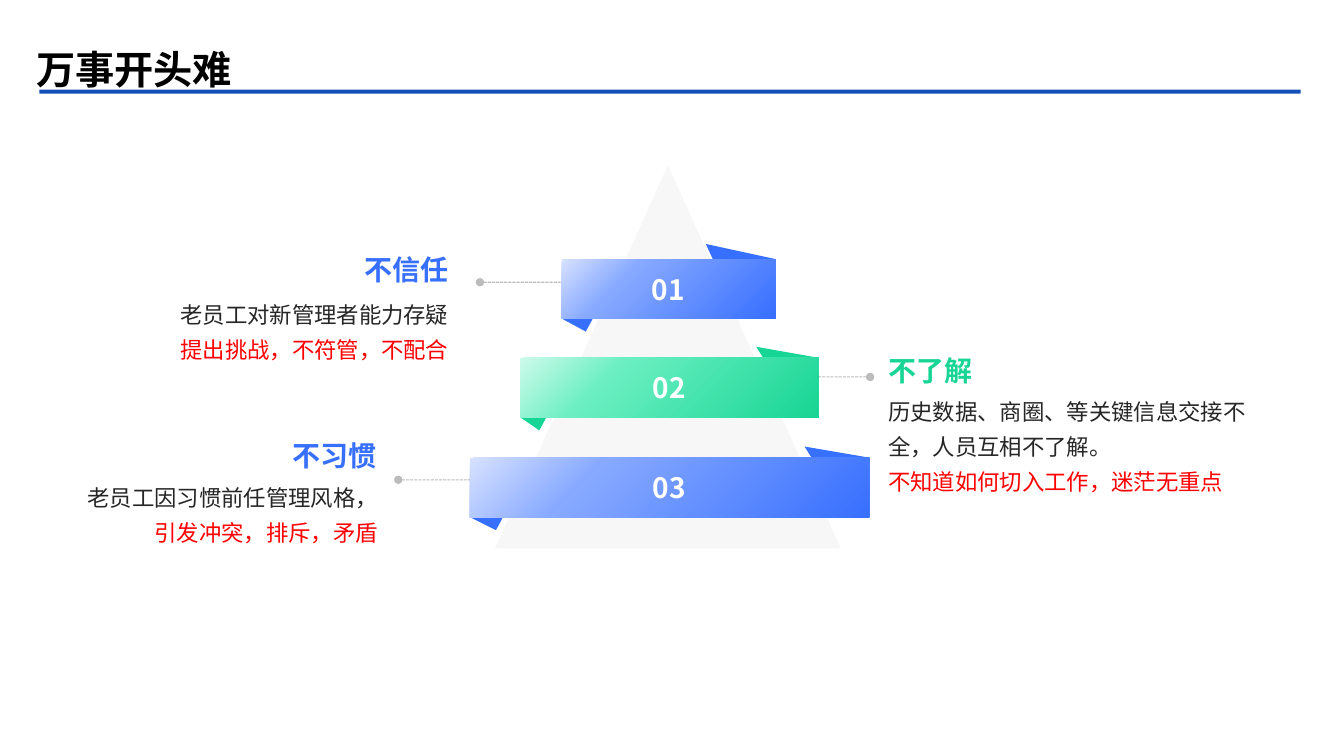
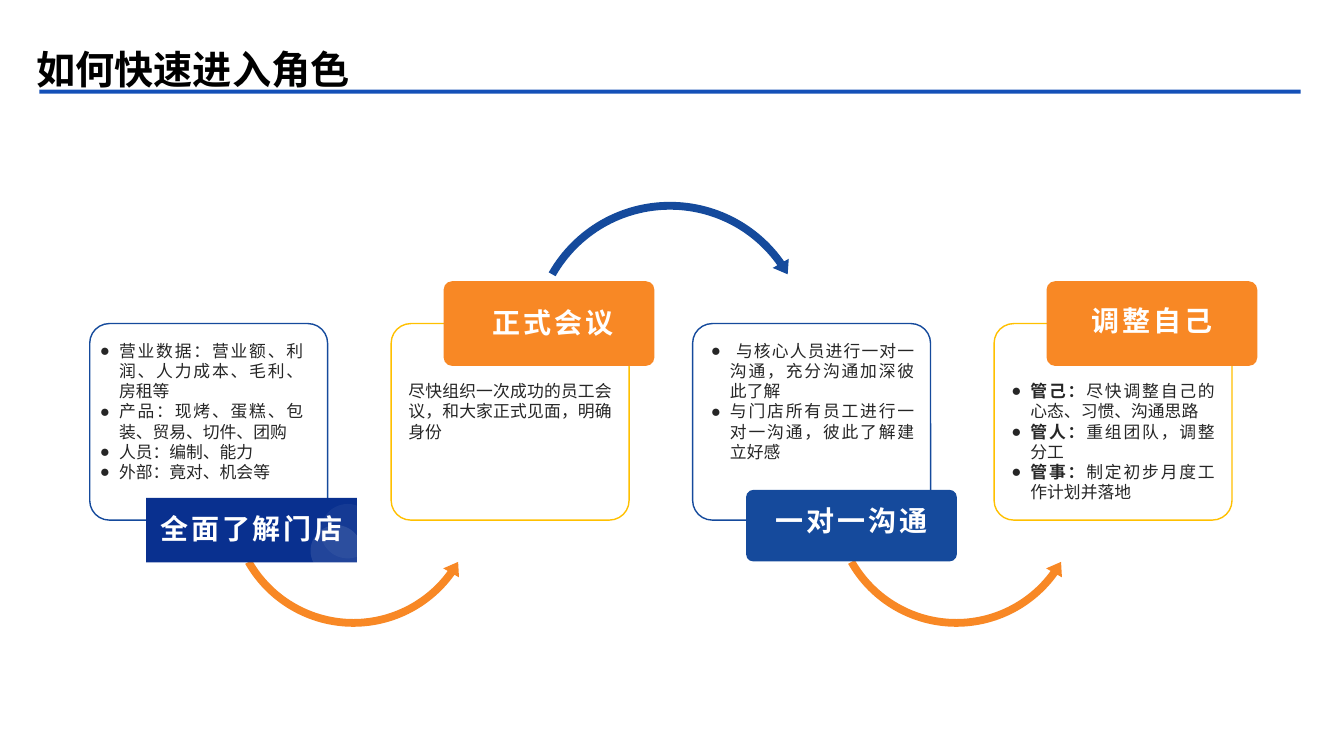
"""Build two slides on how a new store manager starts out."""
from pptx import Presentation
from pptx.dml.color import RGBColor
from pptx.enum.dml import MSO_LINE
from pptx.enum.shapes import MSO_CONNECTOR, MSO_SHAPE
from pptx.enum.text import MSO_ANCHOR, MSO_AUTO_SIZE, PP_ALIGN
from pptx.oxml import parse_xml
from pptx.oxml.ns import nsdecls
from pptx.util import Inches, Pt

HUES = {
    "black": "000000", "white": "FFFFFF", "ink": "262626", "red": "FF0000",
    "band": "1450B8", "blue": "376FFF", "green": "17D594", "gray": "D9D9D9",
    "dash": "595959", "navy": "154A9C", "deep": "09308F",
    "orange": "F88825", "gold": "FFC000",
}
FADES = {
    "blue": ("D7E2FF", "87A9FF", "376FFF"),
    "green": ("CEFAEB", "6BEFC2", "17D594"),
}
FACE = "Noto Sans CJK SC"

HEAD = {"size": Pt(28), "bold": True, "hue": "black"}
NAME = {"size": Pt(20), "bold": True, "hue": "white"}
NOTE = {"size": Pt(16), "bold": False, "hue": "ink"}
ITEM = {"size": Pt(12), "bold": False, "hue": "ink"}
RED = {"hue": "red"}
BOLD = {"bold": True}

TITLES = [("万事开头难", "Noto Sans CJK JP"), ("如何快速进入角色", FACE)]

RIBBONS = [
    {"num": "01", "hue": "blue", "at": (5.57, 2.57, 2.12),
     "back": (0.69, 0.15), "front": 0.31, "dot": (4.76, 5.56, 2.8),
     "name": "不信任", "head": (1.54, 2.2, 2.91), "body": (1.41, 2.91, 3.04),
     "text": [[("老员工对新管理者能力存疑", {})],
              [("提出挑战，不符管，不配合", RED)]]},
    {"num": "02", "hue": "green", "at": (5.16, 3.55, 2.96),
     "back": (0.62, 0.11), "front": 0.26, "dot": (8.63, 8.12, 3.74),
     "name": "不了解", "head": (8.81, 3.2, 2.95), "body": (8.81, 3.87, 3.62),
     "text": [[("历史数据、商圈、等关键信息交接不全，人员互相不了解。", {})],
              [("不知道如何切入工作，迷茫无重点", RED)]]},
    {"num": "03", "hue": "blue", "at": (4.66, 4.54, 3.96),
     "back": (0.64, 0.11), "front": 0.33, "dot": (3.95, 4.66, 4.76),
     "name": "不习惯", "head": (0.83, 4.04, 2.91), "body": (0.71, 4.72, 3.04),
     "text": [[("老员工因习惯前任管理风格，", {}),
               ("引发冲突，排斥，矛盾", RED)]]},
]

CARDS = [
    {"name": "全面了解门店", "edge": "navy", "fill": "deep", "tab": (0.56, 4.94, 0.64),
     "kind": MSO_SHAPE.RECTANGLE, "nudge": (0, 0), "text_at": (0, 3.33), "dots": True,
     "text": [[("营业数据：营业额、利润、人力成本、毛利、房租等", {})],
              [("产品：现烤、蛋糕、包装、贸易、切件、团购", {})],
              [("人员：编制、能力", {})],
              [("外部：竟对、机会等", {})]]},
    {"name": "正式会议", "edge": "gold", "fill": "orange", "tab": (0.52, 2.79, 0.84),
     "kind": MSO_SHAPE.ROUNDED_RECTANGLE, "nudge": (0.04, 0), "text_at": (0.07, 3.73),
     "dots": False,
     "text": [[("尽快组织一次成功的员工会议，和大家正式见面，明确身份", {})]]},
    {"name": "一对一沟通", "edge": "navy", "fill": "navy", "tab": (0.53, 4.86, 0.71),
     "kind": MSO_SHAPE.ROUNDED_RECTANGLE, "nudge": (0, 0.04), "text_at": (0.08, 3.33),
     "dots": True,
     "text": [[(" 与核心人员进行一对一沟通，充分沟通加深彼此了解", {})],
              [("与门店所有员工进行一对一沟通，彼此了解建立好感", {})]]},
    {"name": "调整自己", "edge": "gold", "fill": "orange", "tab": (0.52, 2.79, 0.84),
     "kind": MSO_SHAPE.ROUNDED_RECTANGLE, "nudge": (0, 0.02), "text_at": (0.07, 3.73),
     "dots": True,
     "text": [[("管己：", BOLD), ("尽快调整自己的心态、习惯、沟通思路", {})],
              [("管人：", BOLD), ("重组团队，调整分工", {})],
              [("管事：", BOLD), ("制定初步月度工作计划并落地", {})]]},
]
LOW = (MSO_SHAPE.LEFT_CIRCULAR_ARROW, 3.7, 2.57, "orange",
       (0.03, 3.706, 21.461, 90.245, 0.035))
HIGH = (MSO_SHAPE.CIRCULAR_ARROW, 1.95, 2.87, "navy",
        (0.027, 3.292, 194.953, 125.755, 0.032))
ARCS = [LOW, HIGH, LOW]
RINGS = [(3.18, 5, 0.54, 5), (3.08, 5.21, 0.51, 10)]
START, STEP = 0.89, 2.99


def rgb(hue):
    return RGBColor.from_string(HUES[hue])


def apply(item, looks):
    for key, val in looks.items():
        setattr(item, key, val)


def place(item, *rect):
    apply(item, dict(zip(("left", "top", "width", "height"), map(Inches, rect))))


def write(box, paras, look, align, lead=None, anchor=MSO_ANCHOR.TOP,
          pad=None, wrap=True, dots=None, gap=0, face=FACE):
    frame = box.text_frame
    apply(frame, {"word_wrap": wrap, "auto_size": MSO_AUTO_SIZE.NONE,
                  "vertical_anchor": anchor})
    for side, val in (pad or {}).items():
        setattr(frame, f"margin_{side}", Inches(val))
    for num, runs in enumerate(paras):
        para = frame.add_paragraph() if num else frame.paragraphs[0]
        apply(para, {"alignment": align, "line_spacing": lead, "space_before": Pt(0)})
        if dots is not None:
            mark(para, dots)
        for text, more in runs:
            run = para.add_run()
            run.text = text
            style = {**look, **more, "name": face}
            run.font.color.rgb = rgb(style.pop("hue"))
            apply(run.font, style)
            props = run._r.get_or_add_rPr()
            props.append(parse_xml(f'<a:ea {nsdecls("a")} typeface="{face}"/>'))
            if gap:
                props.set("spc", str(gap * 100))


def mark(para, dots):
    props = para._p.get_or_add_pPr()
    dent = Inches(0.19) if dots else 0
    props.set("marL", str(dent))
    props.set("indent", str(-dent))
    parts = ['buFont {} typeface="Arial"', 'buChar {} char="●"'] if dots else ["buNone {}"]
    for part in parts:
        props.append(parse_xml(f'<a:{part.format(nsdecls("a"))}/>'))


def fade(parent, alpha):
    for tone in parent.iter("{http://schemas.openxmlformats.org/drawingml/2006/main}srgbClr"):
        tone.append(parse_xml(f'<a:alpha {nsdecls("a")} val="{alpha * 1000}"/>'))


def paint(item, hue, alpha=None):
    item.shadow.inherit = False
    item.fill.solid()
    item.fill.fore_color.rgb = rgb(hue)
    item.line.fill.background()
    if alpha:
        fade(item._element.spPr, alpha)


def add(slide, kind, rect, hue=None, alpha=None):
    item = slide.shapes.add_shape(kind, *map(Inches, rect))
    if hue:
        paint(item, hue, alpha)
    return item


def fold(slide, hue, *spots):
    first, *rest = [(Inches(x), Inches(y)) for x, y in spots]
    pen = slide.shapes.build_freeform(*first)
    pen.add_line_segments(rest, close=True)
    paint(pen.convert_to_shape(), hue)


def blend(item, hue):
    stops = "".join(
        f'<a:gs pos="{pos}000"><a:srgbClr val="{tone}"/></a:gs>'
        for pos, tone in zip((0, 30, 100), FADES[hue]))
    item._element.spPr.insert(2, parse_xml(
        f'<a:gradFill {nsdecls("a")} rotWithShape="1"><a:gsLst>{stops}</a:gsLst>'
        '<a:lin ang="2700000" scaled="0"/></a:gradFill>'))
    item.line.fill.background()
    item.shadow.inherit = False


def lead_line(slide, start, end, y):
    line = slide.shapes.add_connector(
        MSO_CONNECTOR.STRAIGHT, *map(Inches, (start, y, end, y)))
    line.line.color.rgb = rgb("dash")
    apply(line.line, {"width": Pt(0.75), "dash_style": MSO_LINE.SQUARE_DOT})
    props = line._element.spPr
    fade(props, 40)
    line.line._ln.append(parse_xml(f'<a:headEnd {nsdecls("a")} type="oval"/>'))
    props.append(parse_xml(f'<a:effectLst {nsdecls("a")}/>'))


def begin(deck, layout, title, face):
    slide = deck.slides.add_slide(deck.slide_layouts[layout])
    add(slide, MSO_SHAPE.RECTANGLE, (0.39, 0.89, 12.51, 0.04), "band")
    place(slide.shapes.title, 0.26, 0.09, 5.92, 0.97)
    write(slide.shapes.title, [[(title, {})]], HEAD, PP_ALIGN.LEFT, Pt(49),
          MSO_ANCHOR.MIDDLE, face=face)
    return slide


def pyramid(slide):
    add(slide, MSO_SHAPE.ISOSCELES_TRIANGLE, (4.91, 1.64, 3.43, 3.8), "gray", 20)
    flat = dict.fromkeys(("left", "top", "right", "bottom"), 0)
    for row in RIBBONS:
        x, y, wide = row["at"]
        hue, tall = row["hue"], 0.59
        end, low = x + wide, y + tall
        back, rise = row["back"]
        tip = x + row["front"]
        fold(slide, hue, (end - back, y - rise), (end, y), (end - back + 0.07, y))
        fold(slide, hue, (x, low), (tip, low), (tip - 0.07, low + 0.13))
        bar = add(slide, MSO_SHAPE.RECTANGLE, (x, y, wide, tall))
        blend(bar, hue)
        write(bar, [[(row["num"], {})]], NAME, PP_ALIGN.CENTER,
              anchor=MSO_ANCHOR.MIDDLE, wrap=False)
        lead_line(slide, *row["dot"])
        side = PP_ALIGN.LEFT if row["dot"][0] > x else PP_ALIGN.RIGHT
        head = slide.shapes.add_textbox(*map(Inches, (*row["head"], 0.64)))
        write(head, [[(row["name"], {})]], {**NAME, "hue": hue}, side,
              anchor=MSO_ANCHOR.BOTTOM, pad=flat)
        body = slide.shapes.add_textbox(*map(Inches, (*row["body"], 1.15)))
        write(body, row["text"], NOTE, side, Pt(25), pad=flat)


def steps(slide):
    bodies = [b for b in slide.placeholders if b.placeholder_format.idx]
    spots = [START + STEP * num for num in range(len(CARDS))]
    for x, (kind, y, size, hue, bends) in zip(spots, ARCS):
        arc = add(slide, kind, (x + 1.33, y, size, size), hue)
        for num, bend in enumerate(bends):
            arc.adjustments[num] = bend
    for x, card, body in zip(spots, CARDS, bodies):
        frame = add(slide, MSO_SHAPE.ROUNDED_RECTANGLE, (x, 3.21, 2.36, 1.95))
        frame.adjustments[0] = 0.1
        frame.shadow.inherit = False
        frame.fill.background()
        frame.line.color.rgb = rgb(card["edge"])
        frame.line.width = Pt(1)
        shift, top = card["text_at"]
        place(body, x + shift, top, 2.22, 1.51)
        write(body, card["text"], ITEM, PP_ALIGN.JUSTIFY, Pt(14.4), dots=card["dots"])
        shift, top, tall = card["tab"]
        tab = add(slide, card["kind"], (x + shift, top, 2.09, tall), card["fill"])
        if len(tab.adjustments):
            tab.adjustments[0] = 0.1
        right, up = card["nudge"]
        write(tab, [[(card["name"], {})]], NAME, PP_ALIGN.CENTER, anchor=MSO_ANCHOR.MIDDLE,
              pad={"left": 0.1 + 2 * right, "bottom": 0.08 + 2 * up}, gap=2)
    for x, y, size, alpha in RINGS:
        add(slide, MSO_SHAPE.OVAL, (x, y, size, size), "white", alpha)


def main():
    deck = Presentation()
    apply(deck, {"slide_width": Inches(13.33), "slide_height": Inches(7.5)})
    for build, layout, title in zip((pyramid, steps), (5, 4), TITLES):
        build(begin(deck, layout, *title))
    deck.save("out.pptx")


if __name__ == "__main__":
    main()
